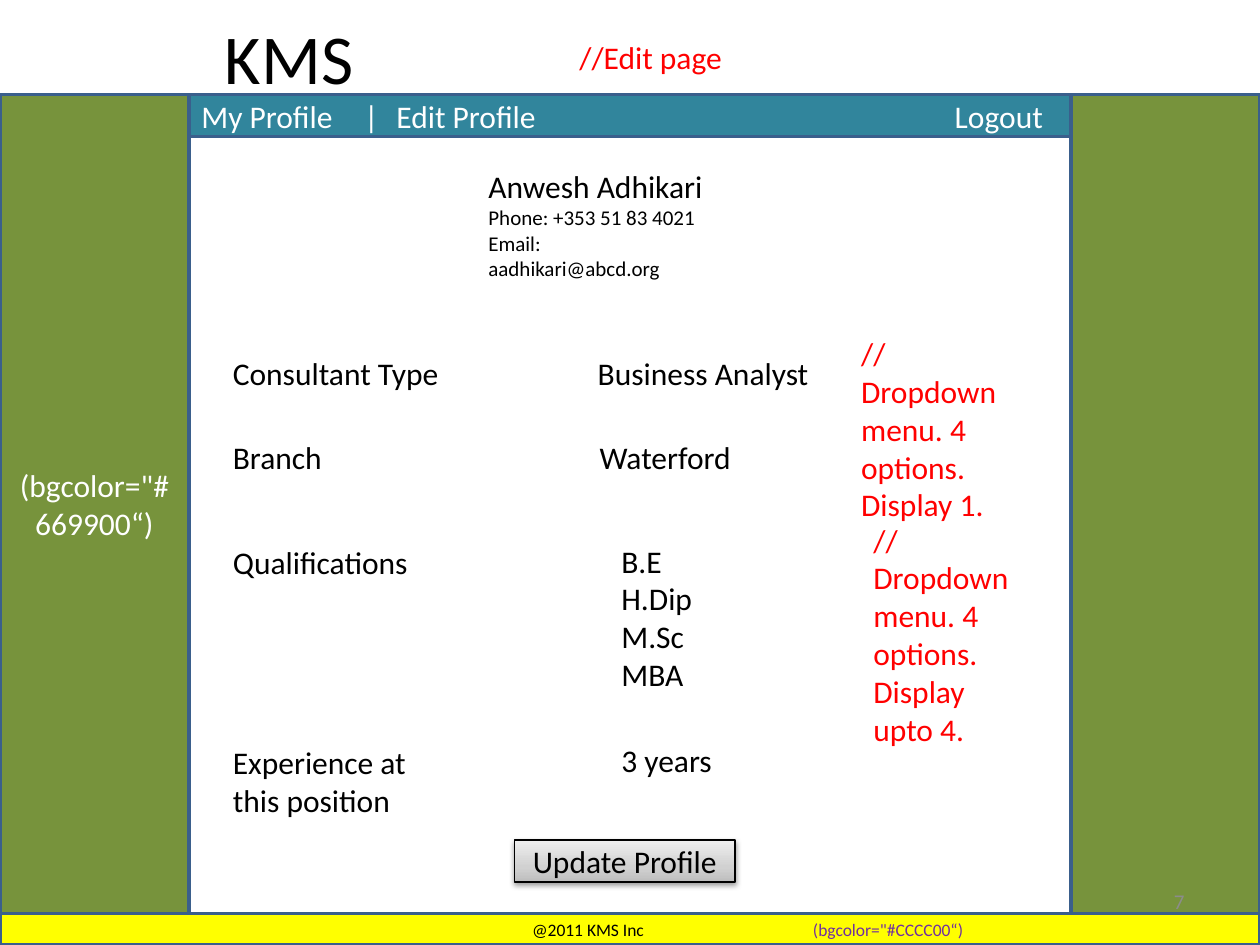
from copy import deepcopy
from dataclasses import dataclass

from lxml.etree import SubElement
from pptx import Presentation
from pptx.dml.color import RGBColor
from pptx.enum.shapes import MSO_SHAPE
from pptx.enum.text import MSO_ANCHOR, MSO_AUTO_SIZE, PP_ALIGN
from pptx.oxml.ns import qn
from pptx.util import Pt

BLACK = RGBColor(0x00, 0x00, 0x00)
WHITE = RGBColor(0xFF, 0xFF, 0xFF)
RED = RGBColor(0xFF, 0x00, 0x00)
GREEN = RGBColor(0x77, 0x93, 0x3C)
TEAL = RGBColor(0x31, 0x85, 0x9C)
YELLOW = RGBColor(0xFF, 0xFF, 0x00)
PURPLE = RGBColor(0x70, 0x30, 0xA0)
BORDER = RGBColor(0x3A, 0x5F, 0x8C)
GRAY = RGBColor(0x8C, 0x8C, 0x8C)
BUTTON_STOPS = [
    (0, RGBColor(0xBD, 0xBD, 0xBD)),
    (0.35, RGBColor(0xD1, 0xD1, 0xD1)),
    (1, RGBColor(0xEE, 0xEE, 0xEE)),
]
FONT = "Calibri"
WIDTH, HEIGHT = 720, 540
SIDE, HEADER, FOOTER = 108, 54, 18
LABEL_X = 126


@dataclass
class Panel:
    """A filled bar or column of the page frame."""
    left: float
    top: float
    width: float
    height: float
    color: RGBColor


@dataclass
class Label:
    """A text box with one format."""
    text: str
    left: float
    top: float
    width: float
    height: float
    color: RGBColor = BLACK
    size: float = 18
    wrap: bool = False


PANELS = {
    "left": Panel(0, HEADER, SIDE, HEIGHT - HEADER - FOOTER, GREEN),
    "right": Panel(WIDTH - SIDE, HEADER, SIDE, HEIGHT - HEADER - FOOTER, GREEN),
    "footer": Panel(0, HEIGHT - FOOTER, WIDTH, FOOTER, YELLOW),
    "menu": Panel(SIDE, HEADER, WIDTH - 2 * SIDE, 24, TEAL),
}

LABELS = [
    Label("KMS", 121.5, 4.5, 88.5, 55.5, size=40),
    Label("Consultant Type", LABEL_X, 199, 133, 29),
    Label("Branch", LABEL_X, 247, 66, 29),
    Label("Qualifications", LABEL_X, 307, 116, 29),
    Label("Experience at \nthis position", LABEL_X, 421, 119, 51),
    Label("Business Analyst", 334.5, 199, 136, 29),
    Label("Waterford", 335.5, 247, 90, 29),
    Label("B.E\nH.Dip\nM.Sc\nMBA", 348, 306, 55, 94.5),
    Label("3 years", 348, 420, 67, 29),
    Label("//Edit page", 324, 18, 97, 29, RED, wrap=True),
    Label("//Dropdown menu. 4 options. Display 1.",
          485, 187.5, 97, 94.5, RED, wrap=True),
    Label("//Dropdown menu. 4 options. Display upto 4.",
          492, 294, 97, 116.5, RED, wrap=True),
]


def write(tf, text, *, size=18, color=BLACK, align=PP_ALIGN.LEFT, tabs=()):
    """Write one paragraph per line of text, and return the last one."""
    for i, line in enumerate(text.split("\n")):
        p = tf.paragraphs[0] if i == 0 else tf.add_paragraph()
        p.alignment = align
        add_run(p, line, size=size, color=color)
        if tabs:
            tab_list = SubElement(p._p.get_or_add_pPr(), qn("a:tabLst"))
            for stop in tabs:
                SubElement(tab_list, qn("a:tab"), pos=str(Pt(stop)), algn="l")
    return p


def add_run(p, text, *, size, color):
    """Append a formatted run to a paragraph."""
    r = p.add_run()
    r.text = text
    r.font.name = FONT
    r.font.size = Pt(size)
    r.font.color.rgb = color


def add_rect(s, left, top, width, height, *, line, line_width):
    """Add an outlined rectangle without a theme shadow."""
    sp = s.shapes.add_shape(MSO_SHAPE.RECTANGLE, Pt(left), Pt(top), Pt(width), Pt(height))
    sp.shadow.inherit = False
    sp.line.color.rgb = line
    sp.line.width = Pt(line_width)
    sp.text_frame.word_wrap = True
    sp.text_frame.vertical_anchor = MSO_ANCHOR.MIDDLE
    return sp


def add_panel(s, panel: Panel):
    """Draw one panel and return its text frame."""
    sp = add_rect(s, panel.left, panel.top, panel.width, panel.height,
                  line=BORDER, line_width=2)
    sp.fill.solid()
    sp.fill.fore_color.rgb = panel.color
    return sp.text_frame


def add_label(s, label: Label):
    """Draw one text box and return its text frame."""
    sp = s.shapes.add_textbox(Pt(label.left), Pt(label.top), Pt(label.width), Pt(label.height))
    tf = sp.text_frame
    tf.word_wrap = label.wrap
    tf.auto_size = MSO_AUTO_SIZE.SHAPE_TO_FIT_TEXT
    write(tf, label.text, size=label.size, color=label.color)
    return tf


def add_contact(s):
    """Draw the name with smaller contact lines."""
    tf = add_label(s, Label("Anwesh Adhikari", 272, 92, 142, 58.5))
    for line in ("Phone: +353 51 83 4021", "Email: aadhikari@abcd.org"):
        add_run(tf.add_paragraph(), line, size=12, color=BLACK)


def add_page_number(s):
    """Draw the page number at the lower right."""
    tf = s.shapes.add_textbox(Pt(516), Pt(500.5), Pt(168), Pt(29)).text_frame
    tf.word_wrap = True
    tf.vertical_anchor = MSO_ANCHOR.MIDDLE
    write(tf, "7", size=12, color=GRAY, align=PP_ALIGN.RIGHT)


def add_button(s):
    """Draw the update button with its gradient and soft shadow."""
    sp = add_rect(s, 294, 480, 126, 24, line=BLACK, line_width=0.75)
    sp.fill.gradient()
    sp.fill.gradient_angle = 90
    stop_list = sp._element.spPr.find(".//" + qn("a:gsLst"))
    stop_list.append(deepcopy(stop_list[0]))
    for stop, (position, color) in zip(sp.fill.gradient_stops, BUTTON_STOPS):
        stop.position = position
        stop.color.rgb = color
    shadow = SubElement(sp._element.spPr.find(qn("a:effectLst")), qn("a:outerShdw"),
                        blurRad=str(Pt(3.1)), dist=str(Pt(1.6)),
                        dir="5400000", rotWithShape="0")
    shade = SubElement(shadow, qn("a:srgbClr"), val=str(BLACK))
    SubElement(shade, qn("a:alpha"), val="38000")
    write(sp.text_frame, "Update Profile", align=PP_ALIGN.CENTER)


def main():
    """Build the profile edit page."""
    prs = Presentation()
    prs.slide_width, prs.slide_height = Pt(WIDTH), Pt(HEIGHT)
    s = prs.slides.add_slide(prs.slide_layouts[6])

    frames = {name: add_panel(s, panel) for name, panel in PANELS.items()}
    write(frames["left"], '(bgcolor="#669900“)', color=WHITE, align=PP_ALIGN.CENTER)
    write(frames["menu"], "My Profile\t|\tEdit Profile\tLogout",
          color=WHITE, tabs=(93, 111.5, 430.5))
    p = write(frames["footer"], "\t@2011 KMS Inc\t", size=10, tabs=(297, 457.5))
    add_run(p, '(bgcolor="#CCCC00“)', size=10, color=PURPLE)

    for label in LABELS:
        add_label(s, label)
    add_contact(s)
    add_page_number(s)
    add_button(s)
    prs.save("out.pptx")


main()
